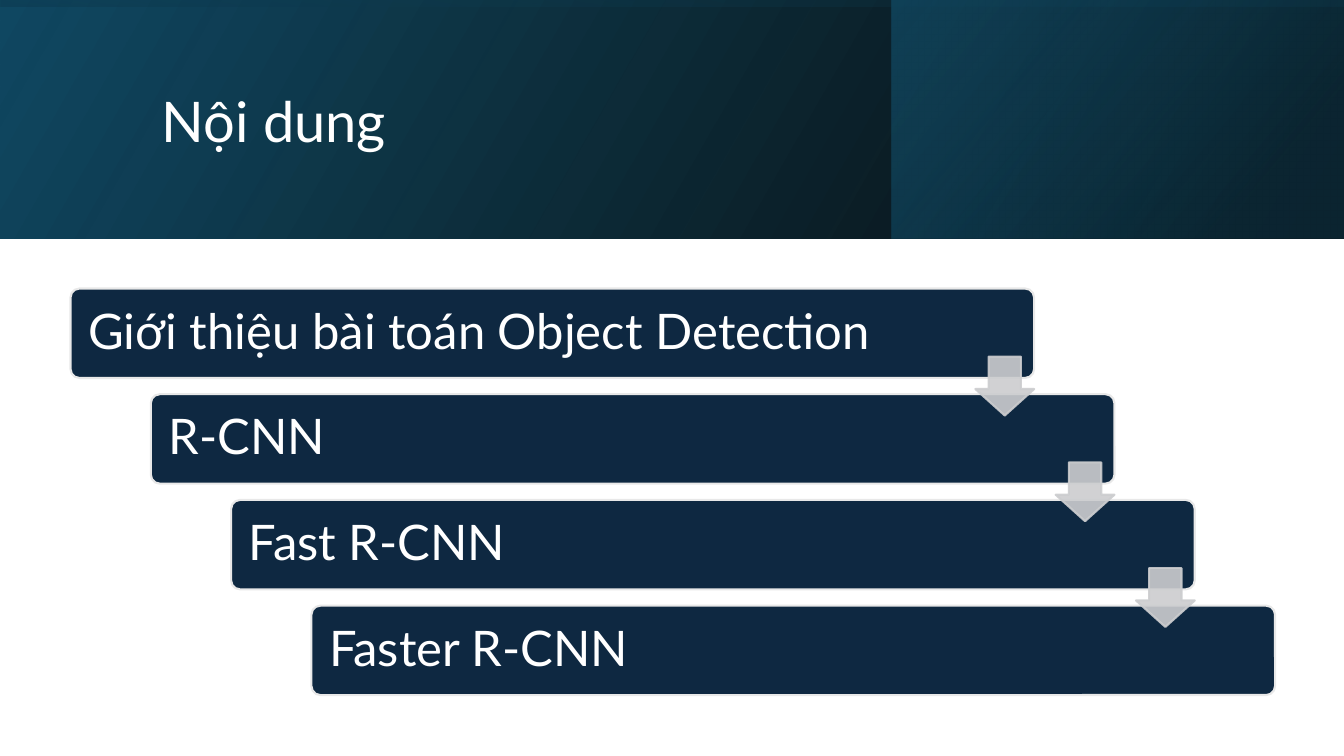
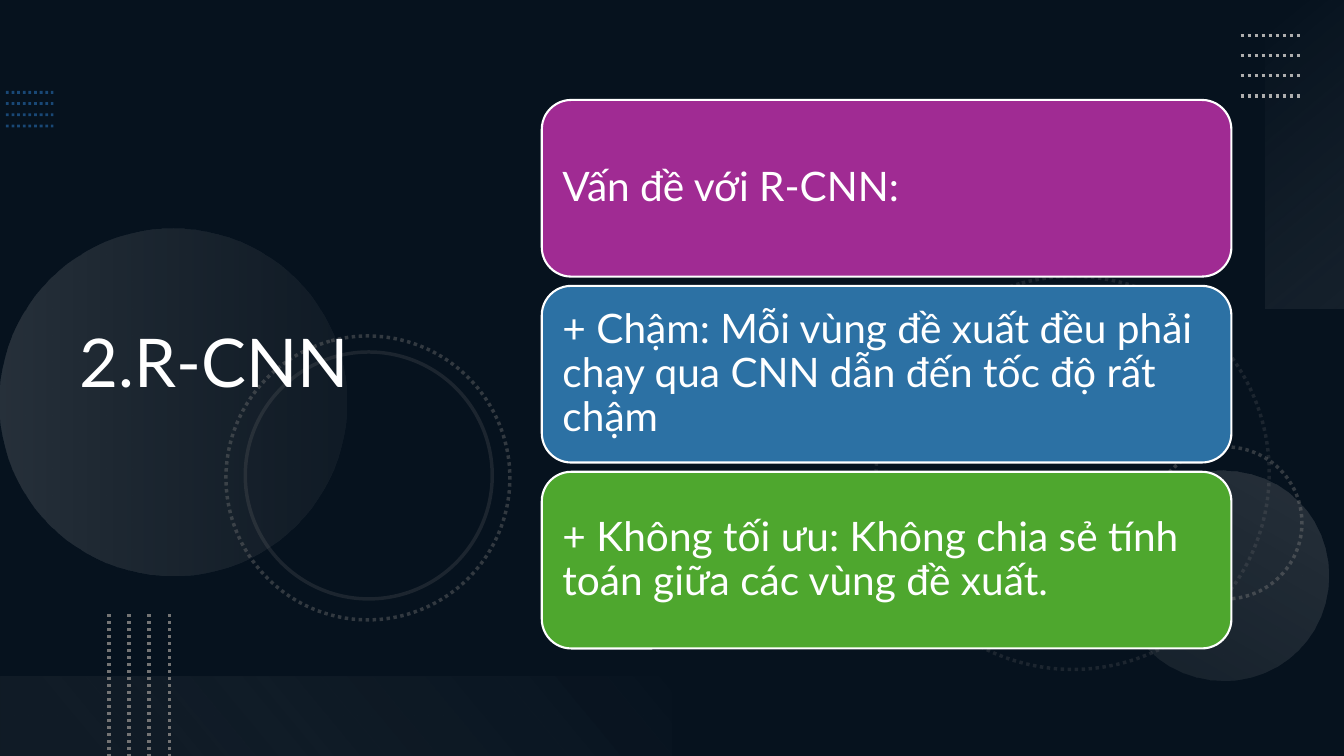
from pptx import Presentation, util as u
from pptx.dml.color import RGBColor
from pptx.enum import dml, shapes, text
from pptx.oxml import parse_xml
from pptx.oxml.ns import nsdecls, qn
from lxml import etree

# The slide is a grid of 160 columns by 90 rows; boxes are (left, top, width, height).
COLUMNS, ROWS = 160, 90
CELL = u.Inches(1 / 12)
FONT = "Lato"
COLORS = {
    "white": "FFFFFF", "black": "000000", "navy": "0E2841", "teal": "104862",
    "deep": "0B3041", "sea": "156082", "edge": "E8E8E8", "arrow": "CCCDCF",
    "dots": "2D7FCF", "gray": "747474", "silver": "AEAEAE", "mist": "F6F6F6",
    "haze": "F1F1F1", "purple": "A02B93", "blue": "2C71A4", "green": "4EA72E",
}


def cells(*counts):
    return [round(count * CELL) for count in counts]


def set_alpha(parent, percent):
    """Make every plain colour below the parent element partly transparent."""
    if percent < 100:
        for color in parent.iter(qn("a:srgbClr")):
            etree.SubElement(color, qn("a:alpha"), val=str(percent * 1000))


def set_line(item, color, points, alpha=100, dotted=False):
    item.line.width = u.Pt(points)
    item.line.fill.solid()
    item.line.fill.fore_color.rgb = RGBColor.from_string(COLORS[color])
    if dotted:
        item.line.dash_style = dml.MSO_LINE.ROUND_DOT
    set_alpha(item._element.spPr.find(qn("a:ln")), alpha)


def set_gradient(shape, stops, angle):
    """Stops are (position, colour, opacity), all in percent; angle is clockwise."""
    marks = "".join(
        f'<a:gs pos="{place * 1000}"><a:srgbClr val="{COLORS[color]}">'
        f'<a:alpha val="{alpha * 1000}"/></a:srgbClr></a:gs>'
        for place, color, alpha in stops)
    gradient = parse_xml(
        f'<a:gradFill {nsdecls("a")} rotWithShape="1"><a:gsLst>{marks}</a:gsLst>'
        f'<a:lin ang="{angle * 60000}" scaled="0"/></a:gradFill>')
    properties = shape._element.spPr
    properties.replace(properties.find(qn("a:noFill")), gradient)


def add_figure(page, kind, box, fill=None, alpha=100, rotation=0, flip=False):
    """Add a preset shape without line or shadow."""
    shape = page.shapes.add_shape(getattr(shapes.MSO_SHAPE, kind), *cells(*box))
    shape.shadow.inherit = False
    shape.line.fill.background()
    shape.rotation = rotation
    if flip:
        shape._element.spPr.find(qn("a:xfrm")).set("flipH", "1")
    if fill:
        shape.fill.solid()
        shape.fill.fore_color.rgb = RGBColor.from_string(COLORS[fill])
        set_alpha(shape._element.spPr.find(qn("a:solidFill")), alpha)
    else:
        shape.fill.background()
    return shape


def write(shape, words, size, inset=None):
    frame = shape.text_frame
    frame.word_wrap = True
    frame.vertical_anchor = text.MSO_ANCHOR.MIDDLE
    if inset is not None:
        for side in ("left", "top", "right", "bottom"):
            setattr(frame, f"margin_{side}", u.Inches(inset))
    frame.text = words
    para = frame.paragraphs[0]
    para.alignment = text.PP_ALIGN.LEFT
    para.line_spacing = 0.9
    span = para.runs[0]
    span.font.size, span.font.name = u.Pt(size), FONT
    span.font.color.rgb = RGBColor.from_string(COLORS["white"])


def add_title(page, box, words, size):
    write(page.shapes.add_textbox(*cells(*box)), words, size)


def add_page(deck, background):
    page = deck.slides.add_slide(deck.slide_layouts[6])
    page.background.fill.solid()
    page.background.fill.fore_color.rgb = RGBColor.from_string(COLORS[background])
    return page


def add_header(page, height):
    """Three layered gradients across the top of the page."""
    turned = ((COLUMNS - height) / 2, (height - COLUMNS) / 2, height, COLUMNS)
    layers = [
        ((0, 0, COLUMNS, height), 0, [(0, "black", 96), (100, "teal", 100)], 330),
        ((106.1, 0, 53.8, height), 0, [(19, "deep", 68), (100, "sea", 48)], 320),
        (turned, 270, [(23, "teal", 16), (99, "black", 45)], 350),
    ]
    for box, rotation, stops, angle in layers:
        layer = add_figure(page, "RECTANGLE", box, rotation=rotation, flip=True)
        set_gradient(layer, stops, angle)


def add_staircase(page, box, topics):
    """Bars stepping down to the right, with an arrow across each gap."""
    left, top, width, height = box
    bar_width, bar_height, arrow_size = width * 0.8, height * 0.22, 7
    steps = len(topics) - 1
    step_x, step_y = (width - bar_width) / steps, (height - bar_height) / steps
    for index, topic in enumerate(topics):
        bar = add_figure(page, "ROUNDED_RECTANGLE",
                         (left + index * step_x, top + index * step_y,
                          bar_width, bar_height), "navy")
        bar.adjustments[0] = 0.1
        set_line(bar, "edge", 1.5)
        write(bar, topic, 35, 0.15)
    for index in range(steps):
        gap_middle = top + index * step_y + (bar_height + step_y) / 2
        arrow = add_figure(page, "DOWN_ARROW",
                           (left + index * step_x + bar_width - arrow_size,
                            gap_middle - arrow_size / 2, arrow_size, arrow_size),
                           "arrow", 90)
        arrow.adjustments[0], arrow.adjustments[1] = 0.45, 0.55
        arrow.adjustments[0], arrow.adjustments[1] = 0.55, 0.45
        set_line(arrow, "arrow", 1.5, 90)


def add_dotted_lines(page, box, color, points=2.5, alpha=100, upright=False, count=4):
    """Evenly spaced parallel dotted lines that fill the box."""
    left, top, width, height = box
    for index in range(count):
        share = index / (count - 1)
        if upright:
            x = left + share * width
            ends = (x, top, x, top + height)
        else:
            y = top + share * height
            ends = (left, y, left + width, y)
        line = page.shapes.add_connector(shapes.MSO_CONNECTOR.STRAIGHT, *cells(*ends))
        set_line(line, color, points, alpha, dotted=True)
        etree.SubElement(line._element.spPr, qn("a:effectLst"))


def add_ring(page, left, top, size, rotation, alpha, dotted=True):
    ring = add_figure(page, "OVAL", (left, top, size, size), rotation=rotation)
    set_line(ring, "gray", 2.5, alpha, dotted)


def add_glow(page, kind, box, rotation, stops, angle):
    set_gradient(add_figure(page, kind, box, rotation=rotation), stops, angle)


def add_backdrop(page):
    add_figure(page, "RECTANGLE", (0, 0, COLUMNS, ROWS), "black", 53)
    add_dotted_lines(page, (0.7, 11, 5.65, 4), "dots", 2, 50)
    add_ring(page, 104.3, 32.9, 46.8, 75, 20)
    add_ring(page, 136.9, 53.2, 18.1, 270, 40)
    add_glow(page, "OVAL", (0, 27.2, 41.3, 41.3), 270,
             [(0, "silver", 20), (100, "gray", 10)], 90)
    add_glow(page, "OVAL", (133.2, 56, 25, 25), 210,
             [(0, "silver", 10), (100, "silver", 20)], 90)
    add_ring(page, 26.9, 40, 33.8, 75, 40)
    add_ring(page, 29.2, 41.9, 29.4, 75, 20, dotted=False)
    add_glow(page, "RECTANGLE", (137, 13.7, 36.7, 9.4), 270,
             [(0, "mist", 0), (100, "silver", 10)], 140)
    add_dotted_lines(page, (147.7, 4.2, 7.2, 7.2), "silver")
    add_glow(page, "RECTANGLE", (0, 80.6, 80, 9.4), 180,
             [(10, "gray", 10), (100, "haze", 0)], 140)
    add_dotted_lines(page, (12.96, 73.1, 7.2, 16.9), "gray", upright=True)


def add_cards(page, box, cards, gap):
    left, top, width, height = box
    card_height = (height - gap * (len(cards) - 1)) / len(cards)
    for index, (color, words) in enumerate(cards):
        card = add_figure(page, "ROUNDED_RECTANGLE",
                          (left, top + index * (card_height + gap),
                           width, card_height), color)
        set_line(card, "white", 1.5)
        write(card, words, 29, 0.12)


def build_contents(deck):
    page = add_page(deck, "white")
    add_header(page, 28.4)
    add_title(page, (18.1, 4.5, 127.6, 20.6), "Nội dung", 40)
    add_staircase(page, (8.4, 34.35, 143.4, 48.4), [
        "Giới thiệu bài toán Object Detection", "R-CNN", "Fast R-CNN", "Faster R-CNN"])


def build_problems(deck):
    page = add_page(deck, "navy")
    add_backdrop(page)
    add_title(page, (8.3, 6.5, 55, 74), "2.R-CNN", 48)
    add_cards(page, (64.5, 11.9, 82.1, 65.3), [
        ("purple", "Vấn đề với R-CNN:"),
        ("blue", "+ Chậm: Mỗi vùng đề xuất đều phải chạy qua CNN dẫn đến tốc độ rất chậm"),
        ("green", "+ Không tối ưu: Không chia sẻ tính toán giữa các vùng đề xuất."),
    ], 1.1)


def main():
    deck = Presentation()
    deck.slide_width, deck.slide_height = cells(COLUMNS, ROWS)
    build_contents(deck)
    build_problems(deck)
    deck.save("out.pptx")


if __name__ == "__main__":
    main()
